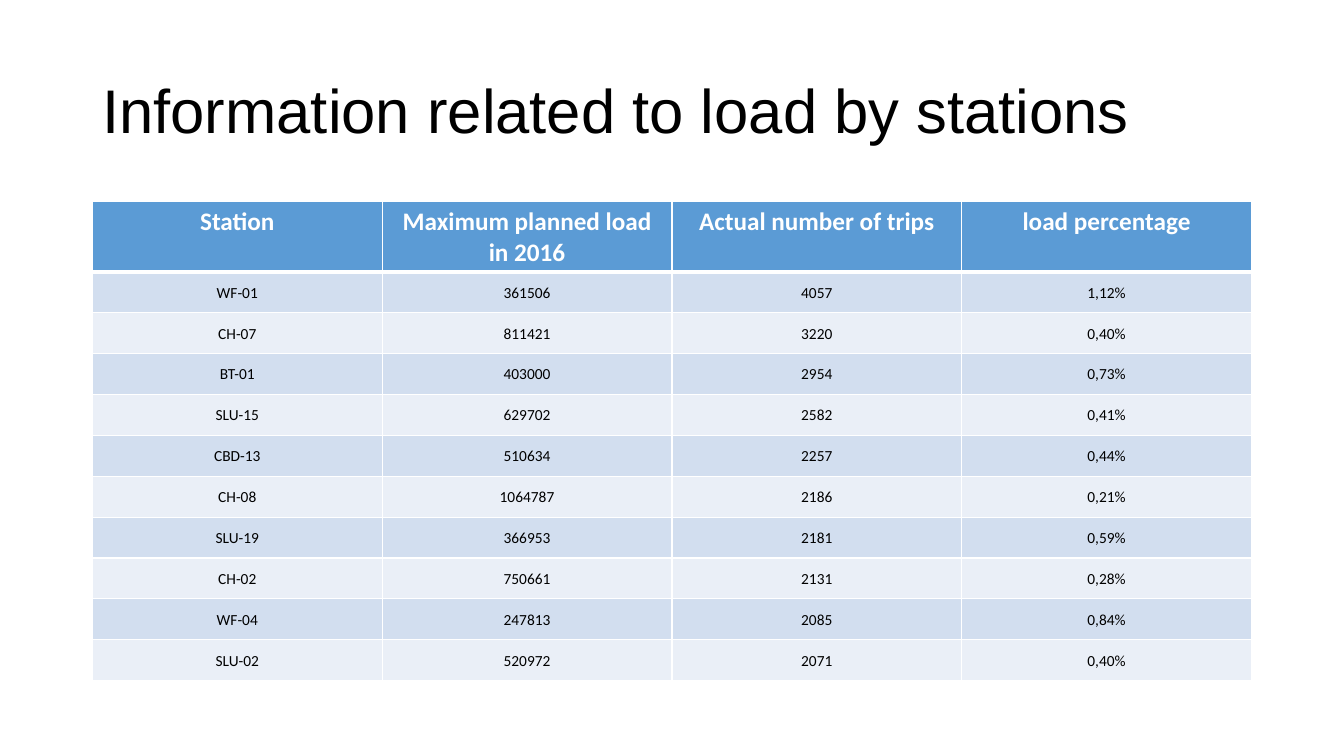
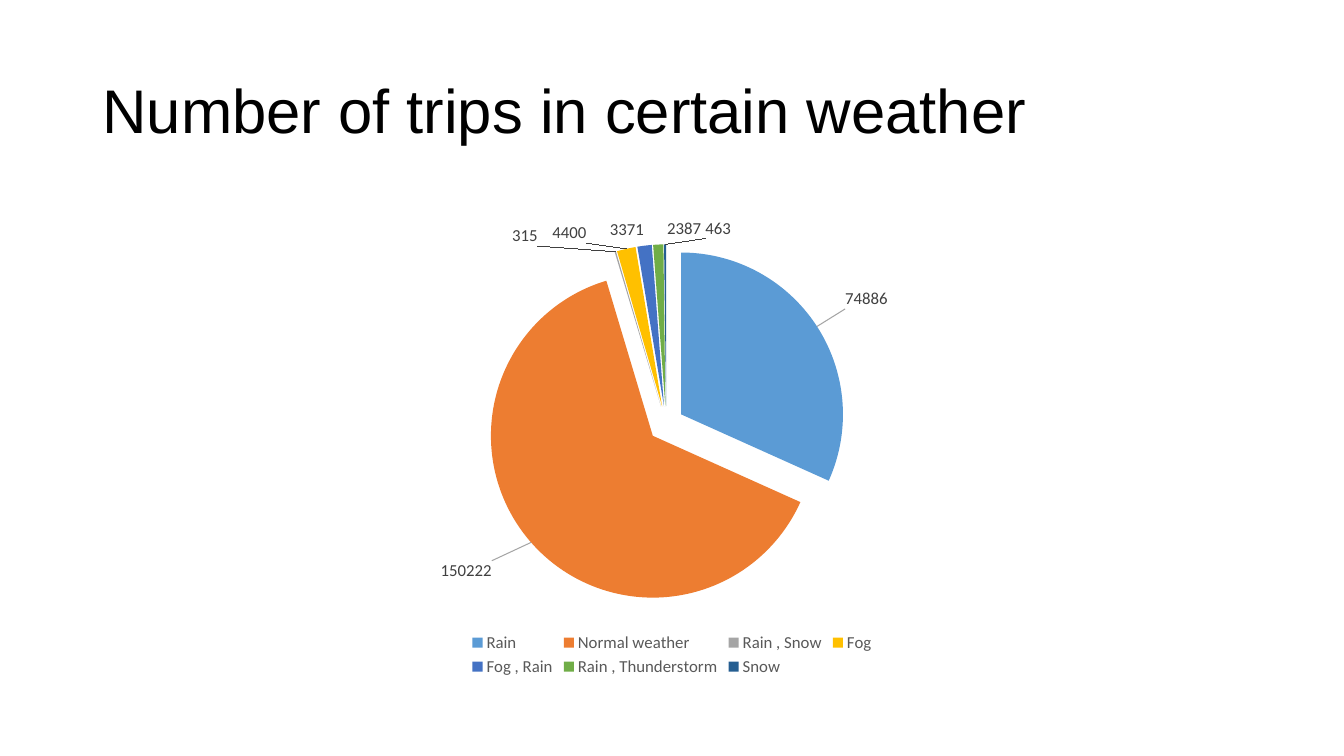
import lxml.etree
import pptx
import pptx.chart.data
import pptx.dml.color
import pptx.enum.chart
import pptx.enum.text
import pptx.oxml
import pptx.oxml.ns
import pptx.util

Cm = pptx.util.Cm
Pt = pptx.util.Pt
RGBColor = pptx.dml.color.RGBColor
qn = pptx.oxml.ns.qn

BLACK = RGBColor(0x00, 0x00, 0x00)
WHITE = RGBColor(0xFF, 0xFF, 0xFF)
BLUE = RGBColor(0x5B, 0x9B, 0xD5)
ORANGE = RGBColor(0xED, 0x7D, 0x31)
GRAY = RGBColor(0xA5, 0xA5, 0xA5)
YELLOW = RGBColor(0xFF, 0xC0, 0x00)
INDIGO = RGBColor(0x44, 0x72, 0xC4)
GREEN = RGBColor(0x70, 0xAD, 0x47)
NAVY = RGBColor(0x25, 0x5E, 0x91)
BAND_DARK = RGBColor(0xD2, 0xDE, 0xEF)
BAND_LIGHT = RGBColor(0xEA, 0xEF, 0xF7)
LABEL_TEXT = RGBColor(0x40, 0x40, 0x40)
LEGEND_TEXT = RGBColor(0x59, 0x59, 0x59)

TITLE_FONT = "Arial"
BODY_FONT = "Calibri"
LEFT, WIDTH = Cm(2.33), Cm(29.21)
BODY_TOP, BODY_HEIGHT = Cm(5.07), Cm(12.08)
HEADER_HEIGHT, ROW_HEIGHT = Cm(1.78), Cm(1.03)

STATION_HEADER = ("Station", "Maximum planned load in 2016",
                  "Actual number of trips", "load percentage")
STATIONS = (
    ("WF-01", "361506", "4057", "1,12%"),
    ("CH-07", "811421", "3220", "0,40%"),
    ("BT-01", "403000", "2954", "0,73%"),
    ("SLU-15", "629702", "2582", "0,41%"),
    ("CBD-13", "510634", "2257", "0,44%"),
    ("CH-08", "1064787", "2186", "0,21%"),
    ("SLU-19", "366953", "2181", "0,59%"),
    ("CH-02", "750661", "2131", "0,28%"),
    ("WF-04", "247813", "2085", "0,84%"),
    ("SLU-02", "520972", "2071", "0,40%"),
)
WEATHER = (
    ("Rain", 74886, BLUE),
    ("Normal weather", 150222, ORANGE),
    ("Rain , Snow", 315, GRAY),
    ("Fog", 4400, YELLOW),
    ("Fog , Rain", 3371, INDIGO),
    ("Rain , Thunderstorm", 2387, GREEN),
    ("Snow", 463, NAVY),
)
LABEL_OFFSETS = ((0.02, -0.03), (-0.03, 0.03))


def set_font(font, name, size, color, bold=False):
    font.name = name
    font.size = Pt(size)
    font.color.rgb = color
    font.bold = bold


def add_titled_page(deck, title):
    page = deck.slides.add_slide(deck.slide_layouts[6])
    box = page.shapes.add_textbox(LEFT, Cm(1.01), WIDTH, Cm(3.68))
    frame = box.text_frame
    frame.word_wrap = True
    frame.vertical_anchor = pptx.enum.text.MSO_ANCHOR.MIDDLE
    para = frame.paragraphs[0]
    para.text = title
    para.line_spacing = 0.9
    set_font(para.font, TITLE_FONT, 44, BLACK)
    return page


def add_border(cell, side, points):
    line = lxml.etree.SubElement(cell._tc.get_or_add_tcPr(), qn(f"a:ln{side}"), w=str(Pt(points)))
    fill = lxml.etree.SubElement(line, qn("a:solidFill"))
    lxml.etree.SubElement(fill, qn("a:srgbClr"), val=str(WHITE))


def style_cell(cell, text, row):
    is_header = row == 0
    for side in "LRTB":
        under_header = (row, side) in ((0, "B"), (1, "T"))
        add_border(cell, side, 3 if under_header else 1)
    cell.fill.solid()
    cell.fill.fore_color.rgb = BLUE if is_header else (BAND_LIGHT, BAND_DARK)[row % 2]
    para = cell.text_frame.paragraphs[0]
    para.text = text
    para.alignment = pptx.enum.text.PP_ALIGN.CENTER
    if is_header:
        set_font(para.font, BODY_FONT, 18, WHITE, True)
    else:
        set_font(para.font, BODY_FONT, 11, BLACK)
        cell.vertical_anchor = pptx.enum.text.MSO_ANCHOR.MIDDLE
        cell.margin_left = cell.margin_right = cell.margin_top = Cm(0.03)
        cell.margin_bottom = 0


def add_station_table(page):
    rows = (STATION_HEADER,) + STATIONS
    table = page.shapes.add_table(len(rows), len(STATION_HEADER),
                                  LEFT, BODY_TOP, WIDTH, BODY_HEIGHT).table
    for row, texts in enumerate(rows):
        table.rows[row].height = ROW_HEIGHT if row else HEADER_HEIGHT
        for column, text in enumerate(texts):
            style_cell(table.cell(row, column), text, row)


def make_layout(**settings):
    layout = pptx.oxml.parse_xml(f"<c:layout {pptx.oxml.ns.nsdecls('c')}/>")
    manual = lxml.etree.SubElement(layout, qn("c:manualLayout"))
    for name, value in settings.items():
        lxml.etree.SubElement(manual, qn(f"c:{name}"), val=str(value))
    return layout


def place_plot(chart):
    area = chart._chartSpace.find(".//" + qn("c:plotArea"))
    for layout in area.findall(qn("c:layout")):
        area.remove(layout)
    area.insert(0, make_layout(layoutTarget="inner", xMode="edge", yMode="edge",
                               x=0.34, y=0.09, w=0.31, h=0.75))


def color_slices(series):
    for index, (_, _, color) in enumerate(WEATHER):
        fill = series.points[index].format.fill
        fill.solid()
        fill.fore_color.rgb = color
    explosion = series._element.makeelement(qn("c:explosion"), val="11")
    series._element.find(qn("c:dPt")).addprevious(explosion)


def label_slices(series):
    positions = pptx.enum.chart.XL_LABEL_POSITION
    labels = series.data_labels
    labels.show_value = True
    labels.position = positions.BEST_FIT
    set_font(labels.font, BODY_FONT, 12, LABEL_TEXT)
    for index in range(len(LABEL_OFFSETS)):
        label = series.points[index].data_label
        set_font(label.font, BODY_FONT, 12, LABEL_TEXT)
        label.position = positions.OUTSIDE_END
    point_labels = labels._element.findall(qn("c:dLbl"))
    for element, (x, y) in zip(point_labels, LABEL_OFFSETS):
        element.find(qn("c:idx")).addnext(make_layout(x=x, y=y))
    leader = pptx.oxml.parse_xml(
        f"<c:leaderLines {pptx.oxml.ns.nsdecls('c', 'a')}><c:spPr><a:ln w='9525'><a:solidFill>"
        f"<a:srgbClr val='{GRAY}'/></a:solidFill></a:ln></c:spPr></c:leaderLines>")
    labels._element.append(leader)


def add_weather_pie(page):
    data = pptx.chart.data.CategoryChartData()
    data.categories = [name for name, _, _ in WEATHER]
    data.add_series("Series 1", [trips for _, trips, _ in WEATHER])
    chart = page.shapes.add_chart(pptx.enum.chart.XL_CHART_TYPE.PIE,
                                  LEFT, BODY_TOP, WIDTH, BODY_HEIGHT, data).chart
    set_font(chart.font, BODY_FONT, 10, BLACK)
    chart.has_title = False
    chart.has_legend = True
    chart.legend.position = pptx.enum.chart.XL_LEGEND_POSITION.BOTTOM
    chart.legend.include_in_layout = False
    set_font(chart.legend.font, BODY_FONT, 12, LEGEND_TEXT)
    plot = chart.plots[0]
    plot.vary_by_categories = True
    color_slices(plot.series[0])
    label_slices(plot.series[0])
    place_plot(chart)


def main():
    deck = pptx.Presentation()
    deck.slide_width, deck.slide_height = Cm(33.87), Cm(19.05)
    add_station_table(add_titled_page(deck, "Information related to load by stations"))
    add_weather_pie(add_titled_page(deck, "Number of trips in certain weather"))
    deck.save("out.pptx")


if __name__ == "__main__":
    main()
